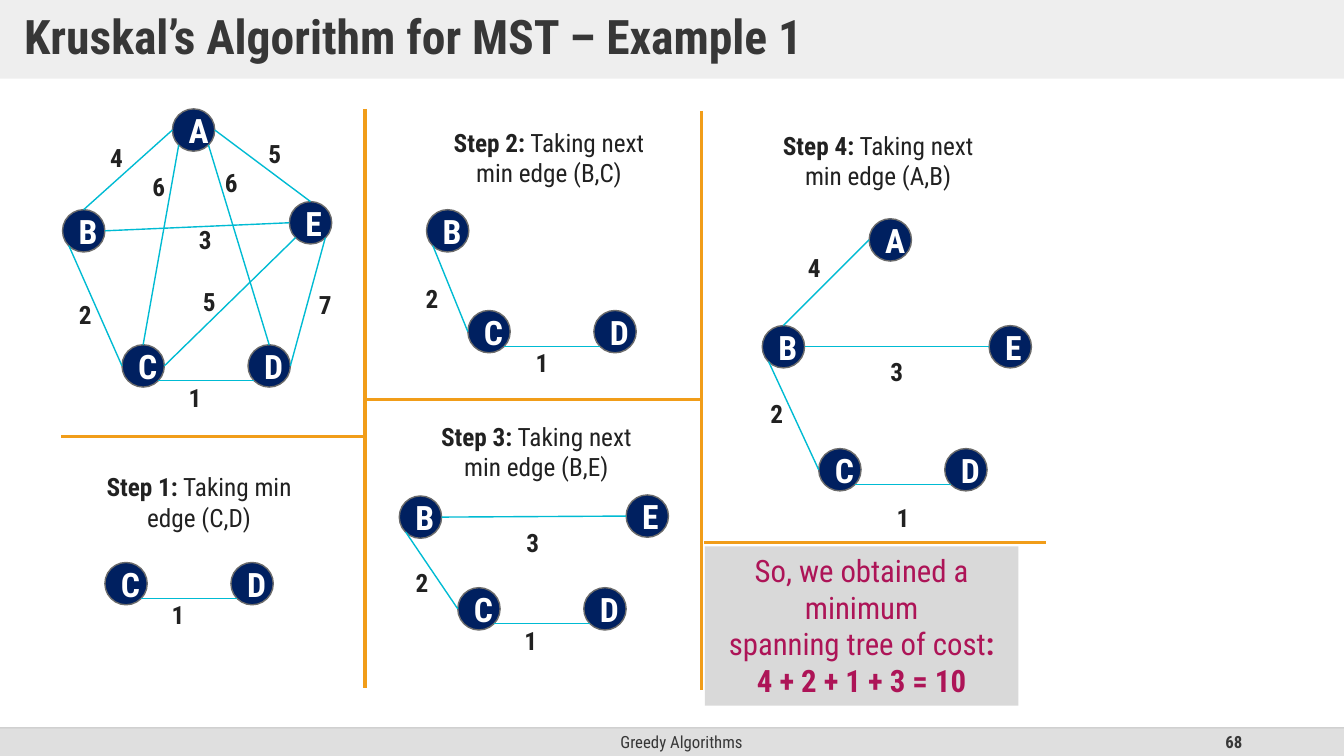
from dataclasses import dataclass

from lxml import etree
from pptx import Presentation
from pptx.dml.color import RGBColor
from pptx.enum import shapes, text
from pptx.oxml import ns
from pptx.util import Inches, Pt


@dataclass(frozen=True)
class Theme:
    font: str = "Roboto Condensed"
    bar: str = "DFDFDF"
    bar_line: str = "BFBFBF"
    heading: str = "373737"
    body: str = "212121"
    node: str = "002060"
    node_line: str = "6B6B6B"
    node_text: str = "FFFFFF"
    edge: str = "00BBD3"
    divider: str = "F19D19"
    result_fill: str = "D9D9D9"
    result_text: str = "AD1457"
    title_size: int = 34
    node_size: int = 24
    result_size: int = 22
    body_size: int = 18
    footer_size: int = 12


THEME = Theme()
NODE = 0.42
CENTER, LEFT, RIGHT = text.PP_ALIGN.CENTER, text.PP_ALIGN.LEFT, text.PP_ALIGN.RIGHT

# Points on a node's rim, as fractions of its size
RIM = {
    "top": (0.5, 0), "bottom": (0.5, 1), "left": (0, 0.5), "right": (1, 0.5),
    "bottom left": (0.15, 0.85), "bottom right": (0.85, 0.85),
}

# Edge: weight, rim point on the first node, rim point on the second node
EDGES = {
    "AB": (4, "left", "top"),
    "BC": (2, "bottom left", "left"),
    "CD": (1, "bottom right", "bottom left"),
    "AE": (5, "right", "top"),
    "ED": (7, "bottom right", "right"),
    "AC": (6, "bottom left", "top"),
    "AD": (6, "bottom right", "top"),
    "CE": (5, "right", "bottom left"),
    "BE": (3, "right", "left"),
}

# Each graph: node corners, then the corner of every edge's weight label
GRAPHS = [
    ({"A": (1.71, 1.08), "B": (0.62, 2.08), "C": (1.21, 3.42), "D": (2.46, 3.42), "E": (2.87, 2)},
     {"AB": (0.99, 1.36), "BC": (0.68, 2.92), "CD": (1.77, 3.74), "AE": (2.56, 1.32),
      "ED": (3.06, 2.82), "AC": (1.41, 1.65), "AD": (2.13, 1.61), "CE": (1.91, 2.79),
      "BE": (1.87, 2.18)}),
    ({"C": (1.04, 5.58), "D": (2.29, 5.58)},
     {"CD": (1.6, 5.9)}),
    ({"B": (4.23, 2.08), "C": (4.64, 3.08), "D": (5.89, 3.08)},
     {"BC": (4.12, 2.76), "CD": (5.21, 3.4)}),
    ({"B": (3.96, 4.92), "C": (4.54, 5.83), "D": (5.79, 5.83), "E": (6.21, 4.91)},
     {"BC": (4.02, 5.58), "CD": (5.1, 6.15), "BE": (5.12, 5.18)}),
    ({"A": (8.62, 2.17), "B": (7.56, 3.23), "C": (8.12, 4.45), "D": (9.37, 4.45), "E": (9.81, 3.23)},
     {"AB": (7.91, 2.45), "BC": (7.54, 3.9), "CD": (8.79, 4.93), "BE": (8.73, 3.49)}),
]

# Step captions: box, text after the step number, second line
STEPS = [
    ((0.91, 4.63, 2.13, 0.71), "Taking min", "edge (C,D)"),
    ((4.35, 1.21, 2.19, 0.71), "Taking next", "min edge (B,C)"),
    ((4.12, 4.13, 2.4, 0.71), "Taking next", "min edge (B,E)"),
    ((7.54, 1.24, 2.34, 0.71), "Taking next", "min edge (A,B)"),
]

DIVIDERS = [
    ((3.62, 1.08), (3.62, 6.83)),
    ((6.96, 1.1), (6.96, 6.85)),
    ((0.61, 4.33), (3.61, 4.33)),
    ((3.61, 3.96), (6.96, 3.96)),
    ((6.98, 5.38), (10.37, 5.38)),
]


def rgb(color):
    return RGBColor.from_string(color)


def set_opacity(shape, percent):
    """Make the shape's first colour, its fill or its line, see-through."""
    color = next(shape._element.spPr.iter(ns.qn("a:srgbClr")))
    etree.SubElement(color, ns.qn("a:alpha"), val=str(percent * 1000))


def write(shape, paragraphs, size, color, align=CENTER):
    """Fill a shape with paragraphs, each a list of (text, bold) runs."""
    frame = shape.text_frame
    for index, runs in enumerate(paragraphs):
        paragraph = frame.add_paragraph() if index else frame.paragraphs[0]
        paragraph.alignment = align
        font = paragraph.font
        font.name, font.size, font.color.rgb = THEME.font, Pt(size), rgb(color)
        same_weight = len({bold for _, bold in runs}) == 1
        if same_weight:
            font.bold = runs[0][1]
        for words, bold in runs:
            run = paragraph.add_run()
            run.text = words
            if not same_weight:
                run.font.bold = bold
    return frame


def add_text(slide, box, paragraphs, size, color, align=CENTER, wrap=True):
    shape = slide.shapes.add_textbox(*map(Inches, box))
    frame = write(shape, paragraphs, size, color, align)
    frame.word_wrap = wrap
    return frame


def add_filled(slide, kind, box, fill, line=None):
    shape = slide.shapes.add_shape(kind, *map(Inches, box))
    shape.shadow.inherit = False
    shape.fill.solid()
    shape.fill.fore_color.rgb = rgb(fill)
    if line:
        shape.line.color.rgb = rgb(line)
        shape.line.width = Pt(1)
    else:
        shape.line.fill.background()
    return shape


def add_line(slide, start, end, color, width=1):
    line = slide.shapes.add_connector(shapes.MSO_CONNECTOR.STRAIGHT, *map(Inches, (*start, *end)))
    line.line.color.rgb = rgb(color)
    line.line.width = Pt(width)
    etree.SubElement(line._element.spPr, ns.qn("a:effectLst"))
    return line


def add_title(slide, words):
    title = slide.shapes.title
    title.left, title.top, title.width, title.height = map(Inches, (0, 0, 13.33, 0.78))
    title.fill.solid()
    title.fill.fore_color.rgb = rgb(THEME.bar)
    set_opacity(title, 50)
    frame = write(title, [[(words, True)]], THEME.title_size, THEME.heading, LEFT)
    frame.paragraphs[0].line_spacing = 0.9
    frame.auto_size = text.MSO_AUTO_SIZE.NONE
    frame.vertical_anchor = text.MSO_ANCHOR.MIDDLE
    frame.margin_left = frame.margin_right = Inches(0.24)
    frame.margin_top = frame.margin_bottom = Inches(0.12)


def add_footer(slide, subject, number):
    bar = add_filled(slide, shapes.MSO_SHAPE.ROUNDED_RECTANGLE, (0, 7.22, 13.33, 0.28), THEME.bar)
    bar.adjustments[0] = 0
    for left, width, words, bold, align in ((4.42, 4.68, subject, False, CENTER),
                                            (9.42, 3, number, True, RIGHT)):
        frame = add_text(slide, (left, 7.22, width, 0.28), [[(words, bold)]],
                         THEME.footer_size, THEME.heading, align)
        frame.vertical_anchor = text.MSO_ANCHOR.MIDDLE
    set_opacity(add_line(slide, (0, 7.22), (13.33, 7.22), THEME.bar_line), 70)


def rim_point(corner, side):
    return [start + NODE * fraction for start, fraction in zip(corner, RIM[side])]


def add_graph(slide, nodes, weight_corners):
    for name, corner in nodes.items():
        node = add_filled(slide, shapes.MSO_SHAPE.OVAL, (*corner, NODE, NODE),
                          THEME.node, THEME.node_line)
        write(node, [[(name, True)]], THEME.node_size, THEME.node_text)
    for edge, corner in weight_corners.items():
        weight, first_side, second_side = EDGES[edge]
        first, second = edge
        add_line(slide, rim_point(nodes[first], first_side),
                 rim_point(nodes[second], second_side), THEME.edge)
        add_text(slide, (*corner, 0.33, 0.4), [[(str(weight), True)]],
                 THEME.body_size, THEME.body, wrap=False)


def add_result(slide):
    box = add_filled(slide, shapes.MSO_SHAPE.RECTANGLE, (6.99, 5.42, 3.11, 1.58), THEME.result_fill)
    frame = write(box, [[("So, we obtained a minimum", False)],
                        [("spanning tree of cost", False), (":", True)],
                        [("4 + 2 + 1 + 3 = 10", True)]], THEME.result_size, THEME.result_text)
    frame.vertical_anchor = text.MSO_ANCHOR.TOP


def main():
    presentation = Presentation()
    presentation.slide_width, presentation.slide_height = Inches(13.33), Inches(7.5)
    slide = presentation.slides.add_slide(presentation.slide_layouts[5])
    add_title(slide, "Kruskal’s Algorithm for MST – Example 1")
    add_footer(slide, "Greedy Algorithms", "68")
    for nodes, weight_corners in GRAPHS:
        add_graph(slide, nodes, weight_corners)
    for number, (box, action, detail) in enumerate(STEPS, start=1):
        add_text(slide, box, [[(f"Step {number}:", True), (f" {action}", False)], [(detail, False)]],
                 THEME.body_size, THEME.body)
    for start, end in DIVIDERS:
        add_line(slide, start, end, THEME.divider, 2.25)
    add_result(slide)
    presentation.save("out.pptx")


if __name__ == "__main__":
    main()
